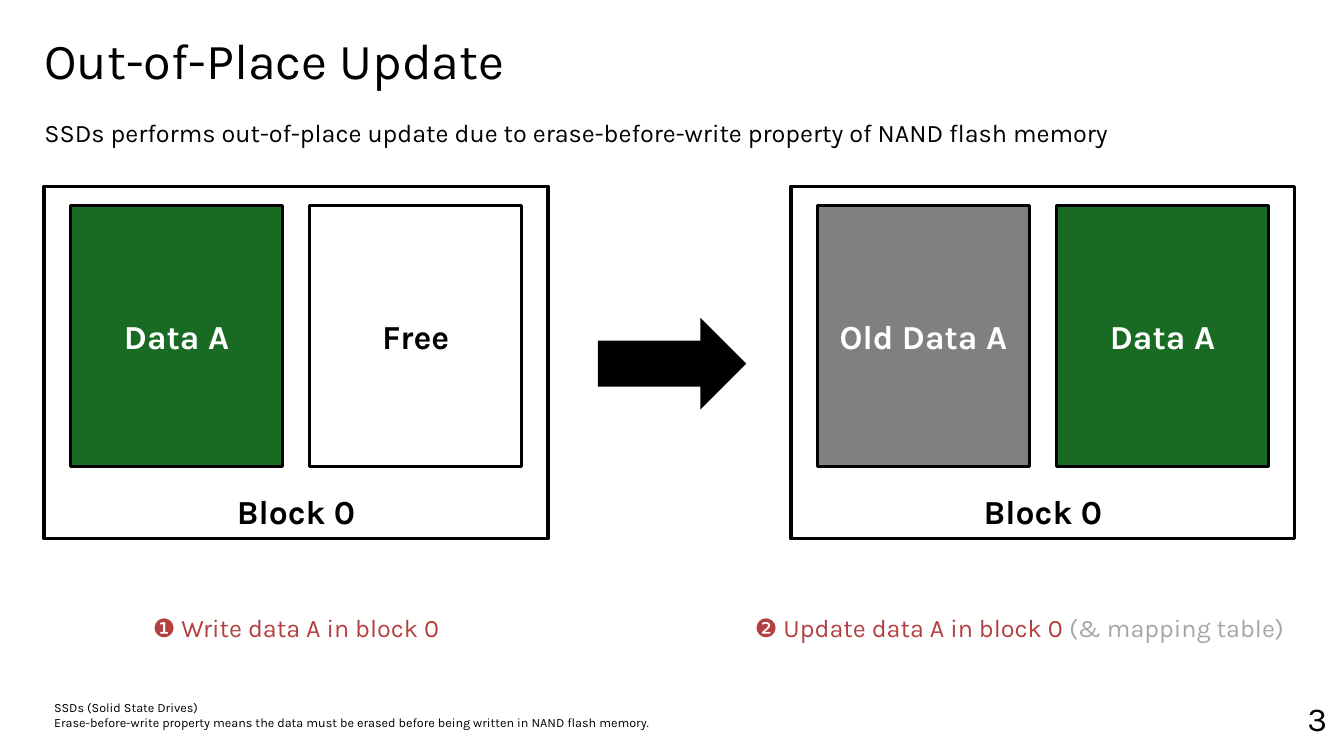
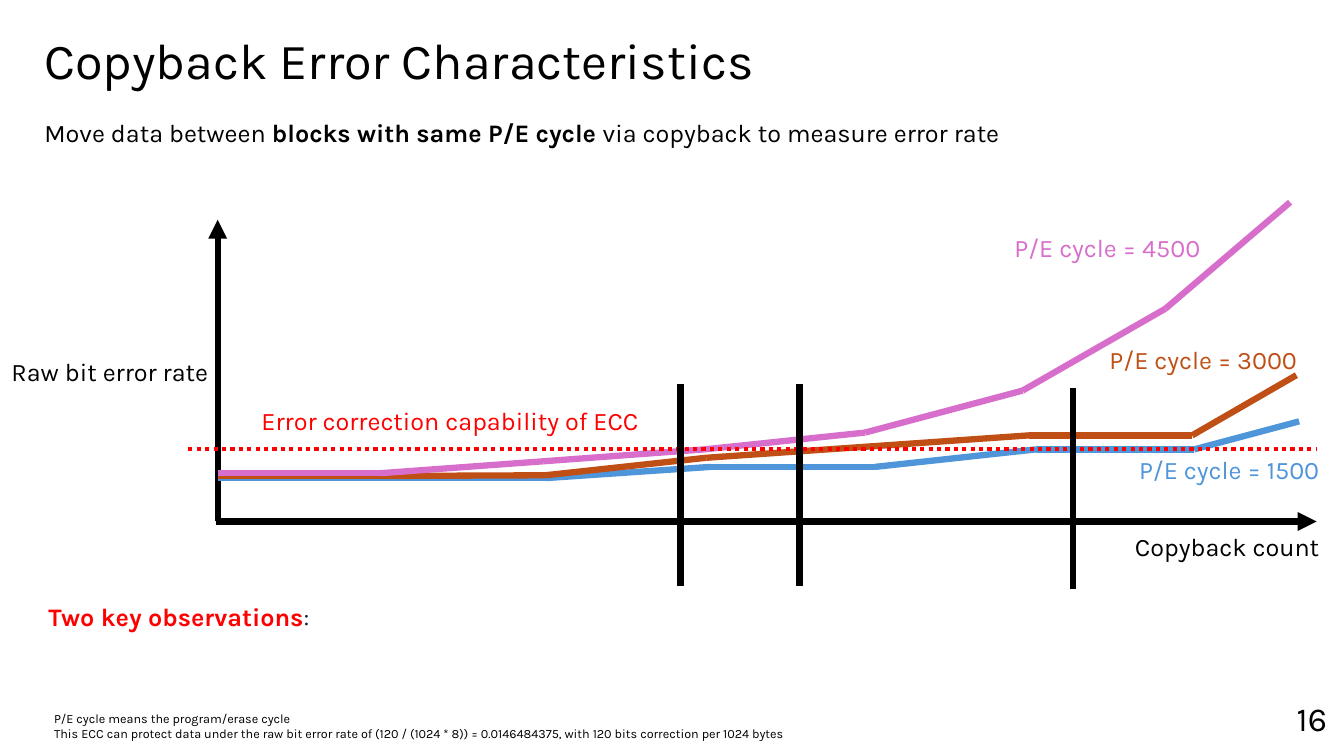
from itertools import pairwise

from lxml.etree import SubElement
from pptx import Presentation
from pptx.dml.color import RGBColor
from pptx.enum.dml import MSO_LINE
from pptx.enum.shapes import MSO_CONNECTOR, MSO_SHAPE
from pptx.enum.text import MSO_ANCHOR, MSO_AUTO_SIZE, PP_ALIGN
from pptx.oxml.ns import qn
from pptx.util import Pt

# Shared look
FONT = "Karla"
BLACK, WHITE, RED = "000000", "FFFFFF", "FF0000"
GREEN, GRAY, PALE = "196B24", "808080", "A6A6A6"
STEP, NAVY = "B34040", "0E2841"
BLUE, RUST, PINK = "4E95D9", "C04F15", "D86ECC"
LEFT, MID, RIGHT = PP_ALIGN.LEFT, PP_ALIGN.CENTER, PP_ALIGN.RIGHT
FRAME = {
    "word_wrap": True,
    "auto_size": MSO_AUTO_SIZE.NONE,
    "vertical_anchor": MSO_ANCHOR.TOP,
    "margin_left": Pt(7.2),
    "margin_right": Pt(7.2),
    "margin_top": Pt(7.2),
    "margin_bottom": Pt(7.2),
}
SLIM = {"margin_top": Pt(3.6), "margin_bottom": Pt(3.6)}
CENTER = {"vertical_anchor": MSO_ANCHOR.MIDDLE}
BOTTOM = {"vertical_anchor": MSO_ANCHOR.BOTTOM, "margin_bottom": Pt(5.8)}


def color(code):
    return RGBColor.from_string(code)


def apply(item, form):
    for name, value in form.items():
        setattr(item, name, value)


def place(item, box):
    names = ("left", "top", "width", "height")
    apply(item, {name: Pt(size) for name, size in zip(names, box)})


def write(item, paras, size, align=LEFT, form=None):
    """Each paragraph is a list of (text, colour, bold) runs."""
    frame = item.text_frame
    apply(frame, FRAME | (form or {}))
    for i, runs in enumerate(paras):
        para = frame.add_paragraph() if i else frame.paragraphs[0]
        apply(para, {"alignment": align, "space_before": Pt(0)})
        for text, code, bold in runs:
            run = para.add_run()
            run.text = text
            apply(run.font, {"name": FONT, "size": Pt(size), "bold": bold})
            run.font.color.rgb = color(code)


def label(slide, box, paras, size=18, align=MID, form=None):
    item = slide.shapes.add_textbox(*map(Pt, box))
    write(item, paras, size, align, form)


def panel(slide, kind, box, fill, line=None):
    item = slide.shapes.add_shape(kind, *map(Pt, box))
    item.shadow.inherit = False
    item.fill.solid()
    item.fill.fore_color.rgb = color(fill)
    if line:
        item.line.color.rgb = color(line)
        item.line.width = Pt(2.25)
    else:
        item.line.fill.background()
    return item


def stroke(slide, start, end, code, width=4.5, dash=None, arrow=False):
    ends = map(Pt, (*start, *end))
    item = slide.shapes.add_connector(MSO_CONNECTOR.STRAIGHT, *ends)
    item.line.color.rgb = color(code)
    apply(item.line, {"width": Pt(width), "dash_style": dash})
    if arrow:
        SubElement(item.line._get_or_add_ln(), qn("a:tailEnd"), type="triangle")
    SubElement(item._element.spPr, qn("a:effectLst"))


# Title, lead line, notes and page number
def base(deck, title, lead, notes, top, page):
    slide = deck.slides.add_slide(deck.slide_layouts[1])
    head, body = slide.placeholders
    place(head, (24.5, 13.5, 627, 61))
    write(head, [[(title, BLACK, False)]], 36)
    place(body, (24.5, 80.5, 911, 398))
    write(body, [lead], 18, form=SLIM)
    for para in body.text_frame.paragraphs:
        props = para._p.get_or_add_pPr()
        apply_none = {"marL": "0", "indent": "0"}
        for name, value in apply_none.items():
            props.set(name, value)
        SubElement(props, qn("a:buNone"))
    lines = [[(text, BLACK, False)] for text in notes]
    label(slide, (31.5, top, 851, 45), lines, 9, LEFT)
    label(slide, (895, 492, 60, 42), [[(page, BLACK, False)]], 24, RIGHT,
          SLIM | CENTER)
    return slide


# One flash block with a row of equal cells
def block(slide, box, name, cells):
    left, top, width, height = box
    outer = panel(slide, MSO_SHAPE.RECTANGLE, box, WHITE, BLACK)
    write(outer, [[(name, BLACK, True)]], 24, MID, BOTTOM)
    edge, gap = 19, 19.5
    wide = (width - 2 * edge - gap) / len(cells)
    for i, (text, fill, ink) in enumerate(cells):
        area = (left + edge + i * (wide + gap), top + 13.5, wide, height - 65)
        cell = panel(slide, MSO_SHAPE.RECTANGLE, area, fill, BLACK)
        write(cell, [[(text, ink, True)]], 24, MID, SLIM | CENTER)


# Error rate plot, with points given as (right, up) from its origin
CURVES = {
    BLUE: [(0, 31), (117.5, 31), (234.5, 31), (352, 39), (469.5, 39),
           (584.5, 51.5), (697.5, 51.5), (772.5, 71.5)],
    RUST: [(0, 32.5), (117.5, 32.5), (234, 33), (349, 45.5), (464.5, 53.5),
           (579.5, 61.5), (696, 61.5), (770.5, 104.5)],
    PINK: [(0, 34.5), (116.5, 34.5), (232.5, 43), (347.5, 51.5),
           (462.5, 63.5), (575, 93.5), (677, 152), (766, 228)],
}
MARKS = [(330.5, 98), (415.5, 98), (611, 95.5)]
TAGS = [
    ("Copyback count", BLACK, 633, 0, 176),
    ("Raw bit error rate", BLACK, -160, 125.5, 166),
    ("P/E cycle = 4500", PINK, 550, 213.5, 171),
    ("P/E cycle = 3000", RUST, 618.5, 134, 171),
    ("P/E cycle = 1500", BLUE, 637, 55, 171),
    ("Error correction capability of ECC", RED, 18, 90.5, 296),
]


def plot(slide, box):
    left, top, width, height = box
    base_y = top + height

    def at(right, up):
        return left + right, base_y - up

    # Axes
    stroke(slide, at(-1.5, 0), at(width, 0), BLACK, arrow=True)
    stroke(slide, at(0, 0), at(0, height), BLACK, arrow=True)
    # Curves
    for code, points in CURVES.items():
        for start, end in pairwise(points):
            stroke(slide, at(*start), at(*end), code)
    # Limit and crossing marks
    stroke(slide, at(-21, 51.5), at(width, 51.5), RED, 3, MSO_LINE.ROUND_DOT)
    for right, up in MARKS:
        stroke(slide, at(right, up), at(right, up - 144), BLACK)
    # Labels
    for text, code, right, up, wide in TAGS:
        label(slide, (*at(right, up), wide, 39), [[(text, code, False)]])


def update(deck):
    slide = base(
        deck, "Out-of-Place Update",
        [("SSDs performs out-of-place update due to erase-before-write "
          "property of NAND flash memory", BLACK, False)],
        ["SSDs (Solid State Drives)",
         "Erase-before-write property means the data must be erased before "
         "being written in NAND flash memory."],
        492.5, "3")
    data = ("Data A", GREEN, WHITE)
    free = ("Free", WHITE, BLACK)
    old = ("Old Data A", GRAY, WHITE)
    for left, cells in ((31.5, [data, free]), (565, [old, data])):
        block(slide, (left, 133, 360, 252), "Block 0", cells)
    panel(slide, MSO_SHAPE.RIGHT_ARROW, (427, 227, 106, 65.5), BLACK)
    label(slide, (91.5, 430.5, 240, 39),
          [[("❶ Write data A in block 0", STEP, False)]])
    label(slide, (514, 430.5, 428.5, 39),
          [[("❷ Update data A in block 0 ", STEP, False),
            ("(& mapping table)", PALE, False)]])


def errors(deck):
    slide = base(
        deck, "Copyback Error Characteristics",
        [("Move data between ", BLACK, False),
         ("blocks with same P/E cycle ", BLACK, True),
         ("via copyback to measure error rate", BLACK, False)],
        ["P/E cycle means the program/erase cycle",
         "This ECC can protect data under the raw bit error rate of "
         "(120 / (1024 * 8)) = 0.0146484375, with 120 bits correction "
         "per 1024 bytes"],
        500.5, "16")
    plot(slide, (155.5, 157, 785, 215.5))
    label(slide, (27.5, 422.5, 918, 88.5),
          [[("Two key observations", RED, True), (":", NAVY, False)]],
          align=LEFT)


def main():
    deck = Presentation()
    apply(deck, {"slide_width": Pt(960), "slide_height": Pt(540)})
    update(deck)
    errors(deck)
    deck.save("out.pptx")


if __name__ == "__main__":
    main()
